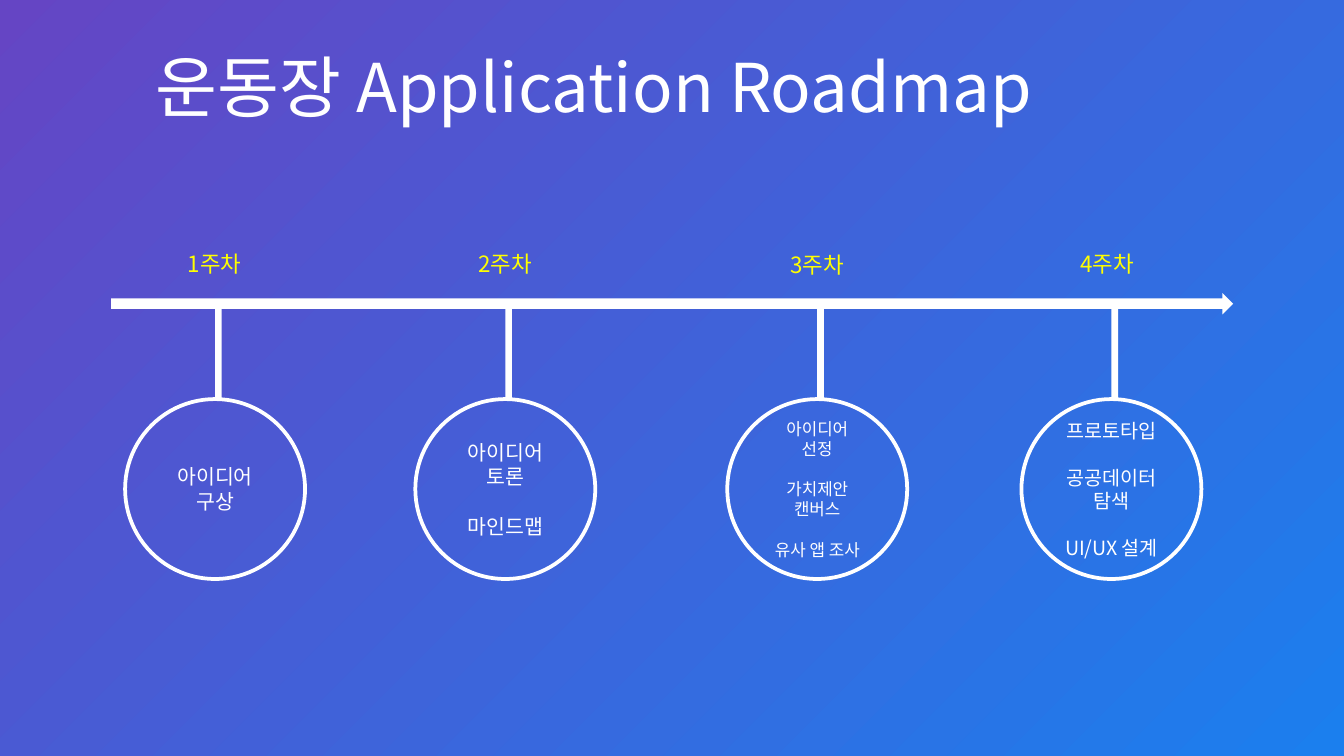
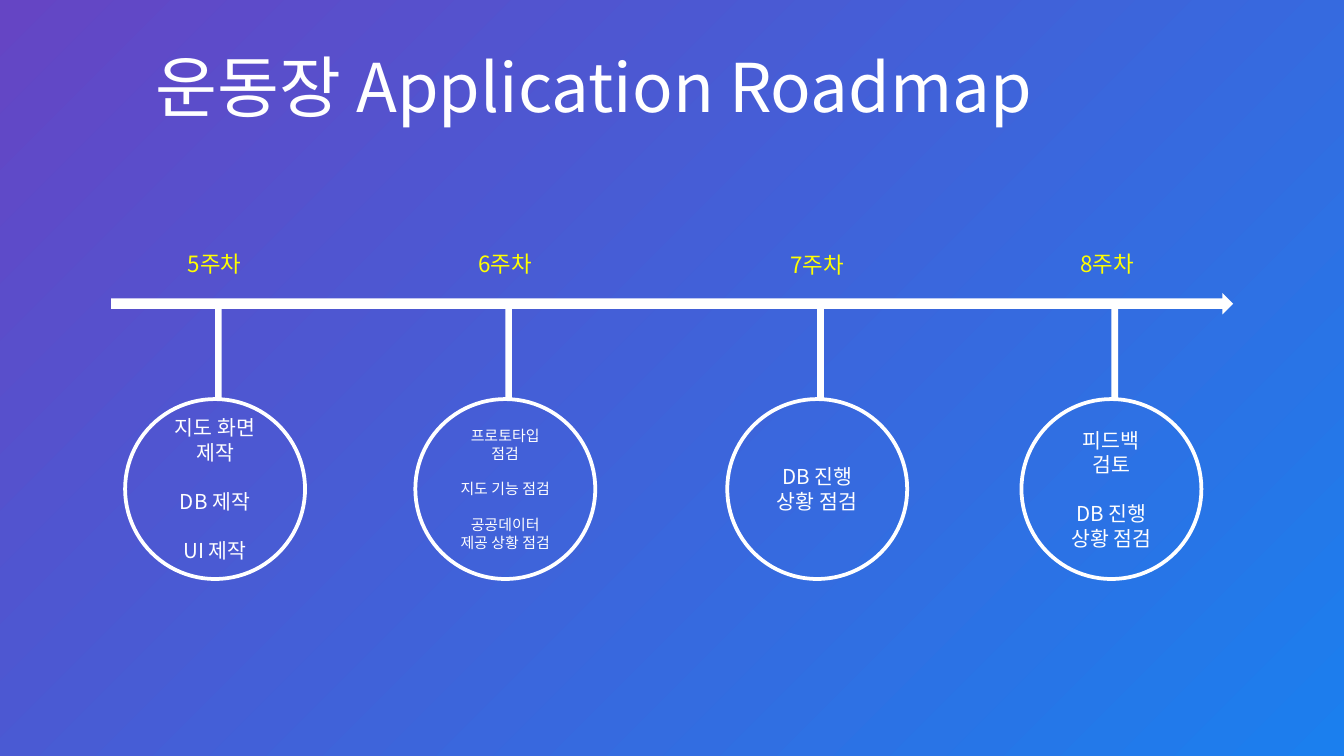
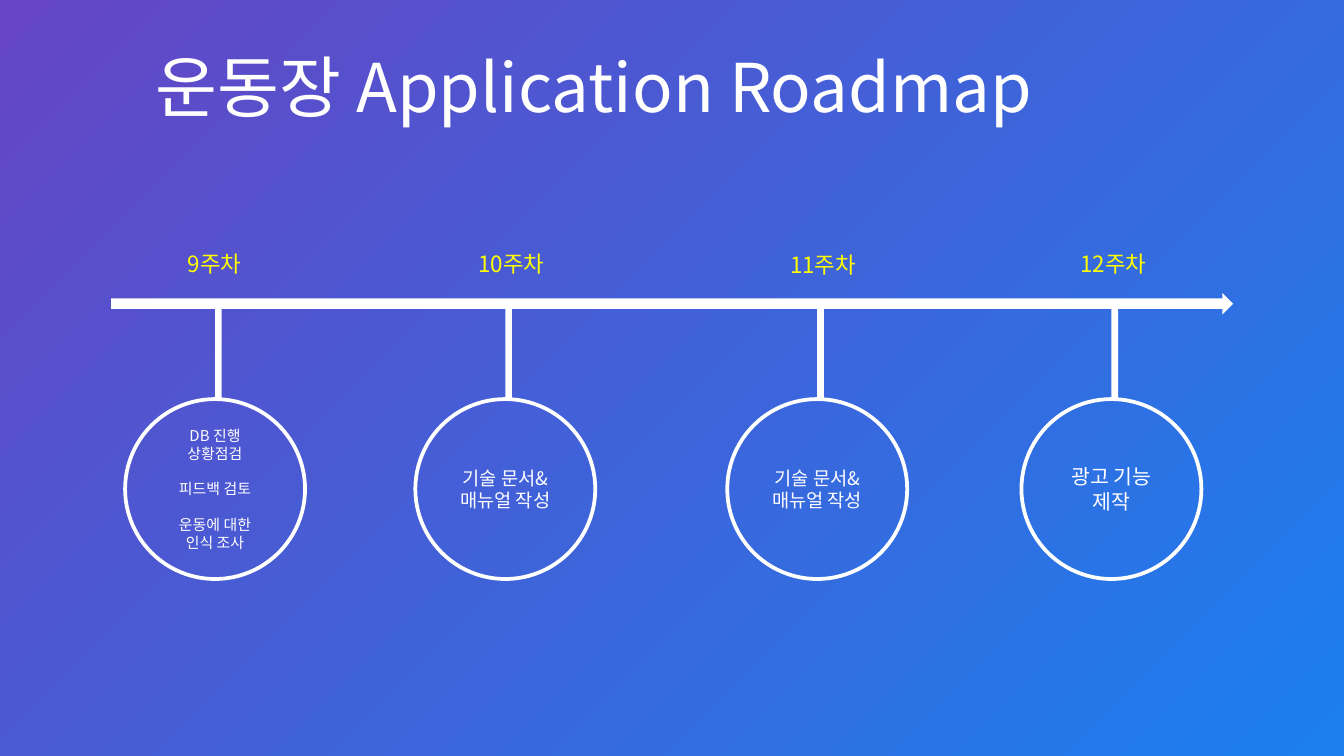
from lxml import etree
from pptx import Presentation
from pptx import util as u
from pptx.dml import color as dml
from pptx.enum import shapes, text
from pptx.oxml import ns

FONT = "Noto Sans CJK KR"
WHITE, YELLOW = "FFFFFF", "FFFF00"
PURPLE, BLUE = "6545C4", "1B7FEE"
TITLE = "운동장 Application Roadmap"
LINE_HEIGHT = 1.19  # one line of text, as a multiple of its size

# Stem left, label left and label top of the four weeks, in points
COLUMNS = [(115.2, 93.6, 130.3), (270.7, 249.1, 130.3),
           (437.8, 416.2, 131), (595.4, 571.7, 130.3)]

# Text size and topics of each week; a line break starts a paragraph
ROADMAP = [
    [
        (11, ["아이디어 구상"]),
        (11, ["아이디어 토론", "마인드맵"]),
        (9, ["아이디어\n선정", "가치제안\n캔버스", "유사 앱 조사"]),
        (10.5, ["프로토타입", "공공데이터 탐색", "UI/UX 설계"]),
    ],
    [
        (11, ["지도 화면 제작", "DB 제작", "UI 제작"]),
        (8, ["프로토타입\n점검", "지도 기능 점검", "공공데이터\n제공 상황 점검"]),
        (11, ["DB 진행 상황 점검"]),
        (11, ["피드백\n검토", "DB 진행 상황 점검"]),
    ],
    [
        (8, ["DB 진행 상황점검", "피드백 검토", "운동에 대한\n인식 조사"]),
        (10, ["기술 문서&매뉴얼 작성"]),
        (10, ["기술 문서&매뉴얼 작성"]),
        (11, ["광고 기능 제작"]),
    ],
]


def rgb(value):
    return dml.RGBColor.from_string(value)


def box(*lengths):
    return [u.Pt(length) for length in lengths]


class RoadmapDeck:
    """Holds the shared style and the current slide."""

    def __init__(self):
        self.presentation = Presentation()
        self.presentation.slide_width = u.Pt(720)
        self.presentation.slide_height = u.Pt(405)
        self.slide = None
        # Diagonal gradient behind every slide
        fill = self.presentation.slide_master.background.fill
        fill.gradient()
        fill.gradient_angle = 315
        for stop, value in zip(fill.gradient_stops, (PURPLE, BLUE)):
            stop.color.rgb = rgb(value)

    def format_text(self, paragraph, size, value, alignment):
        paragraph.alignment = alignment
        for run in paragraph.runs:
            run.font.size = u.Pt(size)
            run.font.color.rgb = rgb(value)
            run.font.name = FONT
            east_asian = etree.SubElement(run.font._element, ns.qn("a:ea"))
            east_asian.set("typeface", FONT)

    def write_line(self, shape, words, size, value):
        frame = shape.text_frame
        frame.text = words
        frame.word_wrap = True
        frame.auto_size = text.MSO_AUTO_SIZE.SHAPE_TO_FIT_TEXT
        frame.vertical_anchor = text.MSO_ANCHOR.TOP
        self.format_text(frame.paragraphs[0], size, value, text.PP_ALIGN.LEFT)

    def add_slide(self, title):
        layout = self.presentation.slide_layouts.get_by_name("Title Only")
        self.slide = self.presentation.slides.add_slide(layout)
        shape = self.slide.shapes.title
        shape.left, shape.top, shape.width, shape.height = box(76.3, 20.9, 566.6, 51)
        self.write_line(shape, title, 36, WHITE)

    def add_bar(self, kind, *place):
        shape = self.slide.shapes.add_shape(kind, *box(*place))
        shape.shadow.inherit = False
        shape.fill.solid()
        shape.fill.fore_color.rgb = rgb(WHITE)
        shape.line.fill.background()

    def add_label(self, week, left, top):
        width = 51 if week < 10 else 54.7
        shape = self.slide.shapes.add_textbox(*box(left, top, width, 21.8))
        self.write_line(shape, f"{week}주차", 12, YELLOW)

    def add_circle(self, left, top, diameter, size, topics):
        shape = self.slide.shapes.add_shape(
            shapes.MSO_SHAPE.OVAL, *box(left, top, diameter, diameter))
        shape.shadow.inherit = False
        shape.fill.background()
        shape.line.color.rgb = rgb(WHITE)
        shape.line.width = u.Pt(2)
        frame = shape.text_frame
        frame.vertical_anchor = text.MSO_ANCHOR.MIDDLE
        frame.text = "\n".join(topics)
        starts = {topic.split("\n")[0] for topic in topics[1:]}
        for paragraph in frame.paragraphs:
            # One line of space before each further topic
            if paragraph.text in starts:
                paragraph.space_before = u.Pt(round(size * LINE_HEIGHT, 1))
            self.format_text(paragraph, size, WHITE, text.PP_ALIGN.CENTER)

    def add_week(self, week, column, size, topics):
        stem_left, label_left, label_top = column
        self.add_label(week, label_left, label_top)
        self.add_bar(shapes.MSO_SHAPE.RECTANGLE, stem_left, 162.8, 3.6, 51)
        self.add_circle(stem_left - 48.2, 213.8, 96.4, size, topics)


# Four weeks to a slide, along one arrow
deck = RoadmapDeck()
week = 0
for weeks in ROADMAP:
    deck.add_slide(TITLE)
    deck.add_bar(shapes.MSO_SHAPE.RIGHT_ARROW, 59.6, 157, 601, 11.4)
    for column, (size, topics) in zip(COLUMNS, weeks):
        week += 1
        deck.add_week(week, column, size, topics)

deck.presentation.save("out.pptx")
